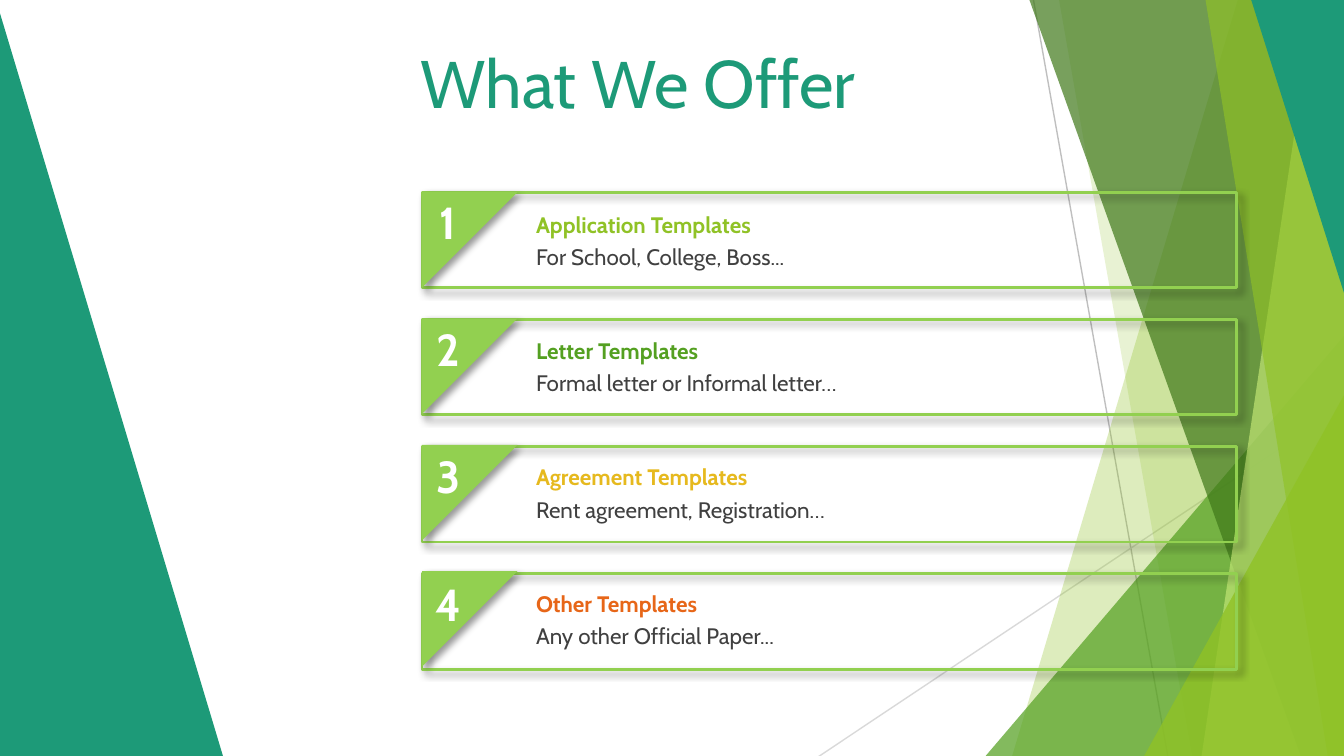
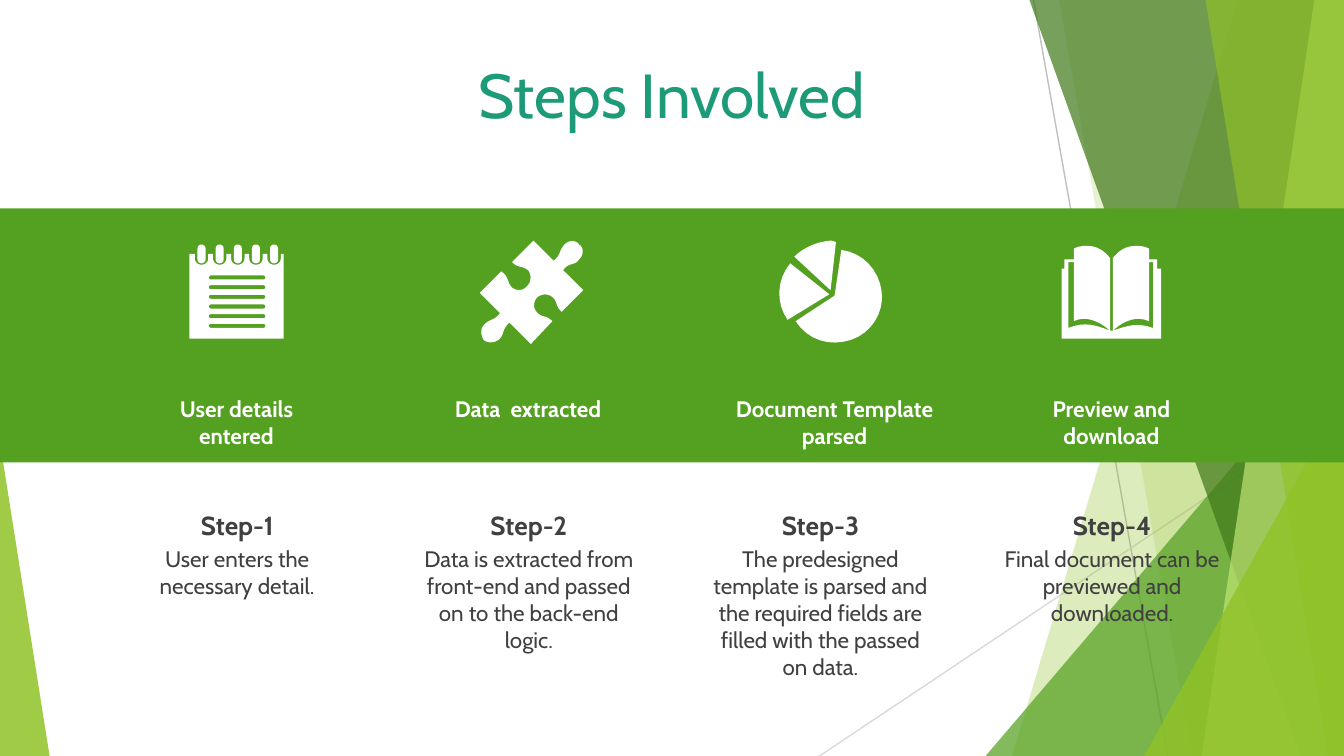
from dataclasses import dataclass

from lxml import etree
from pptx import Presentation
from pptx.dml.color import RGBColor
from pptx.enum.shapes import MSO_CONNECTOR, MSO_SHAPE
from pptx.enum.text import MSO_ANCHOR, MSO_AUTO_SIZE, PP_ALIGN
from pptx.oxml.ns import qn
from pptx.util import Inches, Pt

LEFT, CENTER = PP_ALIGN.LEFT, PP_ALIGN.CENTER
TOP, MIDDLE = MSO_ANCHOR.TOP, MSO_ANCHOR.MIDDLE
FIXED, GROW = MSO_AUTO_SIZE.NONE, MSO_AUTO_SIZE.SHAPE_TO_FIT_TEXT
RECT, TRIANGLE = MSO_SHAPE.RECTANGLE, MSO_SHAPE.ISOSCELES_TRIANGLE
CORNER, STRAIGHT = MSO_SHAPE.RIGHT_TRIANGLE, MSO_CONNECTOR.STRAIGHT


@dataclass(frozen=True)
class Theme:
    font: str = "Cabin"
    teal: str = "1D9A78"
    lime: str = "90C226"
    pale_lime: str = "C0E474"
    green: str = "54A021"
    dark_green: str = "3F7819"
    card: str = "92D050"
    yellow: str = "E6B91E"
    orange: str = "E76618"
    text: str = "404040"
    white: str = "FFFFFF"
    offer_title: float = 36
    steps_title: float = 33.3
    number: float = 24
    step: float = 14
    body: float = 12


T = Theme()
W, H = 10, 5.63


def write(s, text, box, sp=None, size=T.body, color=T.text, bold=False,
          align=LEFT, anchor=TOP, fit=GROW, before=0):
    """Put text in the given placeholder, or in a new text box, at box."""
    sp = sp or s.shapes.add_textbox(0, 0, 0, 0)
    sp.left, sp.top, sp.width, sp.height = map(Inches, box)
    tf = sp.text_frame
    tf.word_wrap, tf.auto_size, tf.vertical_anchor = True, fit, anchor
    p = tf.paragraphs[0]
    p.alignment, p.space_before = align, Pt(before)
    r = p.add_run()
    r.text = text
    r.font.name, r.font.size, r.font.bold = T.font, Pt(size), bold
    r.font.color.rgb = RGBColor.from_string(color)


def paint(sp, fill=None, alpha=100, line=None, shadow=False):
    """Set fill, outline and shadow; alpha is the opacity in percent."""
    if fill:
        sp.fill.solid()
        sp.fill.fore_color.rgb = RGBColor.from_string(fill)
    else:
        sp.fill.background()
    if alpha < 100:
        clr = sp.element.spPr.find(qn("a:solidFill"))[0]
        etree.SubElement(clr, qn("a:alpha"), val=str(alpha * 1000))
    if line:
        sp.line.color.rgb = RGBColor.from_string(line)
        sp.line.width = Pt(1.5)
    else:
        sp.line.fill.background()
    sp.shadow.inherit = False
    if shadow:
        effects = sp.element.spPr.find(qn("a:effectLst"))
        outer = etree.SubElement(
            effects, qn("a:outerShdw"), blurRad=str(Pt(4)), dist=str(Pt(3)),
            dir="2700000", algn="tl", rotWithShape="0")
        clr = etree.SubElement(outer, qn("a:srgbClr"), val="000000")
        etree.SubElement(clr, qn("a:alpha"), val="40000")


prs = Presentation()
prs.slide_width = Inches(W)
prs.slide_height = prs.slide_width * 9 // 16
layout = prs.slide_layouts[5]
for ph in list(layout.placeholders):
    if ph.placeholder_format.idx:
        ph.element.getparent().remove(ph.element)

# Slide 1, whose facets are moved to the shared layout
s = prs.slides.add_slide(layout)
art = []
for x1, y1, x2, y2, color in [(7.69, 0, 8.69, H, "BFBFBF"),
                              (W, 3.02, 6.09, H, "D9D9D9")]:
    cx = s.shapes.add_connector(STRAIGHT, *map(Inches, (x1, y1, x2, y2)))
    cx.line.color.rgb = RGBColor.from_string(color)
    cx.line.width = Pt(0.75)
    etree.SubElement(cx.element.spPr, qn("a:effectLst"))
    art.append(cx)

# Pairs are the top and bottom x of a band's left edge;
# triples are left, top and width of a triangle standing on the bottom edge
facets = [
    ((9.21, 7.53), T.lime, 30),
    ((7.88, 8.87), T.lime, 20),
    ((7.33, 2.5, 2.67), T.green, 72),
    ((7.66, 9.68), T.dark_green, 70),
    ((9.78, 8.94), T.pale_lime, 70),
    ((8.97, 9.88), T.lime, 65),
    ((8.51, 2.94, 1.49), T.lime, 80),
    ((0, 3.29, 0.37), T.lime, 85),
]
for outline, color, alpha in facets:
    if len(outline) == 2:
        top_x, bottom_x = outline
        fb = s.shapes.build_freeform(Inches(top_x), 0)
        fb.add_line_segments([(Inches(x), Inches(y)) for x, y in
                              [(W, 0), (W, H), (bottom_x, H)]])
        sp = fb.convert_to_shape()
    else:
        x, y, width = outline
        sp = s.shapes.add_shape(TRIANGLE, *map(Inches, (x, y, width, H - y)))
        sp.adjustments[0] = 1 if x else 0
    paint(sp, color, alpha)
    art.append(sp)
for sp in art:
    layout.shapes.element.append(sp.element)

write(s, "What We Offer", (3.03, 0.29, 6.17, 0.63), s.shapes.title,
      size=T.offer_title, color=T.teal, anchor=MIDDLE, fit=FIXED)
for box, angle in [((-0.03, 0, 1.69, H), 0), ((9.31, 0, 0.69, 2.18), 180)]:
    sp = s.shapes.add_shape(CORNER, *map(Inches, box))
    sp.rotation = angle
    paint(sp, T.teal)

offers = [
    ("Application Templates", "For School, College, Boss...", T.lime),
    ("Letter Templates", "Formal letter or Informal letter…", T.green),
    ("Agreement Templates", "Rent agreement, Registration…", T.yellow),
    ("Other Templates", "Any other Official Paper...", T.orange),
]
card_step = (4.27 - 1.43) / 3
text_step = 0.94
for i, (name, detail, color) in enumerate(offers):
    card_y, text_y = i * card_step, i * text_step
    card = s.shapes.add_shape(
        RECT, *map(Inches, (3.14, 1.43 + card_y, 6.06, 0.71)))
    paint(card, line=T.card, shadow=True)
    corner = s.shapes.add_shape(
        CORNER, *map(Inches, (3.14, 1.43 + text_y, 0.71, 0.71)))
    corner.rotation = 90
    paint(corner, T.card, shadow=True)
    write(s, str(i + 1), (3.1, 1.4 + card_y, 0.47, 0.5), size=T.number,
          color=T.white, bold=True, align=CENTER)
    write(s, detail, (3.89, 1.76 + text_y, 5.13, 0.3))
    write(s, name, (3.89, 1.52 + text_y, 5.13, 0.3), color=color, bold=True)

# Slide 2
s = prs.slides.add_slide(layout)
write(s, "Steps Involved", (0, 0.38, W, 0.63), s.shapes.title,
      size=T.steps_title, color=T.teal, align=CENTER, anchor=MIDDLE,
      fit=FIXED, before=7.5)
band = s.shapes.add_shape(RECT, *map(Inches, (0, 1.55, W, 1.89)))
paint(band, T.green)

# Icon outlines: a pair is a corner, six numbers are a Bézier curve
page, rings, rules = [(1.41, 1.89)], [], []
for i in range(5):
    c = 1.5 + i * 0.54 / 4
    a, b = c - 0.05, c + 0.05
    page += [(a, 1.89), (a, 1.92), (a, 1.95, c - 0.03, 1.97, c, 1.97),
             (c + 0.03, 1.97, b, 1.95, b, 1.92), (b, 1.89)]
    a, b = c - 0.03, c + 0.03
    rings.append([(a, 1.85), (a, 1.81, b, 1.81, b, 1.85),
                  (b, 1.93), (b, 1.97, a, 1.97, a, 1.93)])
page += [(2.11, 1.89), (2.11, 2.52), (1.41, 2.52)]
for i in range(6):
    a = 2.05 + i * 0.36 / 5
    b = a + 0.03
    rules.append([(1.57, a), (1.96, a), (1.98, a, 1.98, b, 1.96, b),
                  (1.57, b), (1.55, b, 1.55, a, 1.57, a)])
notepad = [page] + rings + rules

puzzle = [[
    (4.31, 1.82), (4.34, 1.84, 4.35, 1.89, 4.31, 1.93),
    (4.28, 1.98, 4.23, 1.95, 4.19, 2.01), (4.34, 2.16), (4.18, 2.32),
    (4.13, 2.28, 4.15, 2.24, 4.11, 2.21), (4.07, 2.18, 4.03, 2.19, 4, 2.21),
    (3.97, 2.24, 3.96, 2.29, 4, 2.33), (4.05, 2.37, 4.06, 2.34, 4.11, 2.39),
    (3.95, 2.56), (3.79, 2.4), (3.73, 2.46, 3.76, 2.47, 3.72, 2.52),
    (3.68, 2.56, 3.62, 2.55, 3.6, 2.53), (3.58, 2.5, 3.57, 2.45, 3.6, 2.42),
    (3.64, 2.37, 3.68, 2.39, 3.72, 2.33), (3.57, 2.18), (3.73, 2.02),
    (3.79, 2.06, 3.77, 2.1, 3.81, 2.14), (3.85, 2.17, 3.9, 2.16, 3.92, 2.13),
    (3.95, 2.11, 3.96, 2.05, 3.93, 2.01), (3.87, 1.97, 3.86, 2, 3.81, 1.95),
    (3.97, 1.79), (4.12, 1.94), (4.18, 1.89, 4.15, 1.88, 4.2, 1.82),
    (4.24, 1.78, 4.29, 1.79, 4.31, 1.82),
]]
pie = [
    [(5.88, 1.96), (6.17, 2.19), (5.86, 2.38),
     (5.77, 2.25, 5.78, 2.08, 5.88, 1.96)],
    [(6.26, 1.86), (6.42, 1.88, 6.54, 2.01, 6.56, 2.17),
     (6.58, 2.33, 6.48, 2.48, 6.33, 2.53),
     (6.17, 2.58, 6.01, 2.53, 5.92, 2.39), (6.21, 2.2)],
    [(6.18, 1.79), (6.19, 1.79, 6.21, 1.8, 6.22, 1.8), (6.18, 2.16),
     (5.91, 1.91), (5.98, 1.84, 6.08, 1.8, 6.18, 1.79)],
]
book = [[
    (8.26, 2.46), (8.28, 2.46), (8.4, 2.42, 8.46, 2.4, 8.58, 2.44),
    (8.58, 1.95), (8.55, 1.95), (8.55, 2.39),
    (8.46, 2.35, 8.37, 2.38, 8.28, 2.46), (8.28, 1.92),
    (8.33, 1.86, 8.38, 1.83, 8.45, 1.83), (8.48, 1.83, 8.51, 1.83, 8.55, 1.85),
    (8.55, 1.93), (8.61, 1.93), (8.61, 2), (8.64, 2), (8.64, 2.52),
    (7.9, 2.52), (7.9, 2), (7.92, 2), (7.92, 1.93), (7.99, 1.93), (7.99, 1.85),
    (8.03, 1.83, 8.06, 1.83, 8.09, 1.83), (8.16, 1.83, 8.21, 1.86, 8.26, 1.92),
    (8.26, 2.46), (8.17, 2.38, 8.07, 2.35, 7.99, 2.39), (7.99, 1.95),
    (7.95, 1.95), (7.95, 2.44), (8.08, 2.39, 8.15, 2.42, 8.26, 2.46),
]]
for icon in (notepad, puzzle, pie, book):
    fb = None
    for contour in icon:
        pts = []
        for seg in contour:
            if len(seg) == 2:
                pts.append(seg)
                continue
            x0, y0 = pts[-1]
            x1, y1, x2, y2, x3, y3 = seg
            for t in (i / 8 for i in range(1, 9)):
                u = 1 - t
                k0, k1, k2, k3 = u**3, 3 * u * u * t, 3 * u * t * t, t**3
                pts.append((k0 * x0 + k1 * x1 + k2 * x2 + k3 * x3,
                            k0 * y0 + k1 * y1 + k2 * y2 + k3 * y3))
        start, *rest = [(Inches(x), Inches(y)) for x, y in pts]
        if fb:
            fb.move_to(*start)
        else:
            fb = s.shapes.build_freeform(*start)
        fb.add_line_segments(rest)
    paint(fb.convert_to_shape(), T.white)

# Label, its width and height, then the description and its height
steps = [
    ("User details entered", 1.46, 0.5,
     "User enters the necessary detail.", 0.5),
    ("Data  extracted", 1.46, 0.3,
     "Data is extracted from front-end and passed on to the back-end logic.",
     0.91),
    ("Document Template parsed", 1.68, 0.5,
     "The predesigned template is parsed and the required fields are filled "
     "with the passed on data.", 1.11),
    ("Preview and download", 1.46, 0.5,
     "Final document can be previewed and downloaded.", 0.71),
]
for i, (label, width, height, detail, detail_height) in enumerate(steps):
    x = 0.82 + i * 2.17
    write(s, label, (x + 0.21, 2.89, width, height), color=T.white, bold=True,
          align=CENTER)
    write(s, f"Step-{i + 1}", (x, 3.74, 1.89, 0.34), size=T.step, bold=True,
          align=CENTER)
    write(s, detail, (x, 4.01, 1.89, detail_height), align=CENTER)

prs.save("out.pptx")
